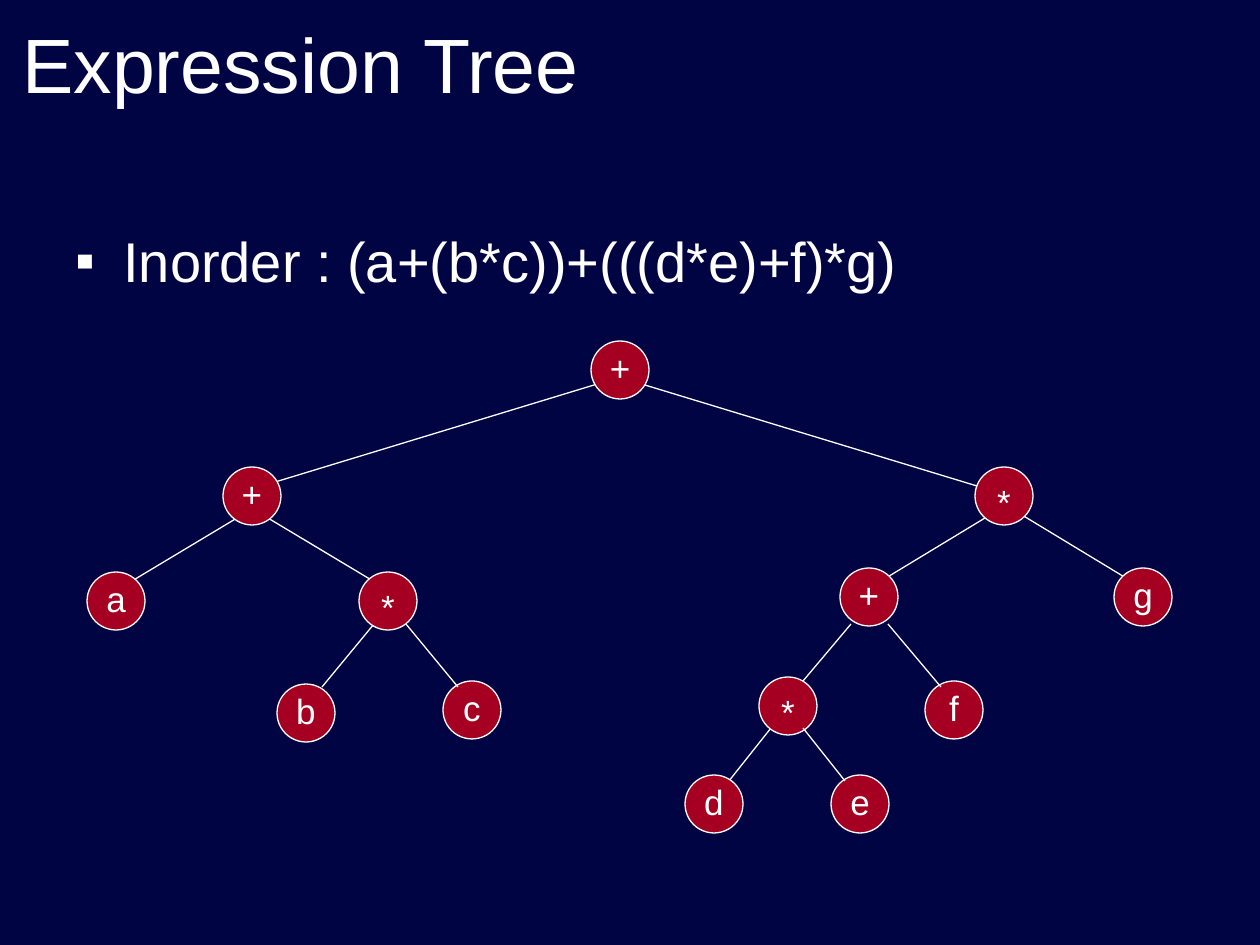
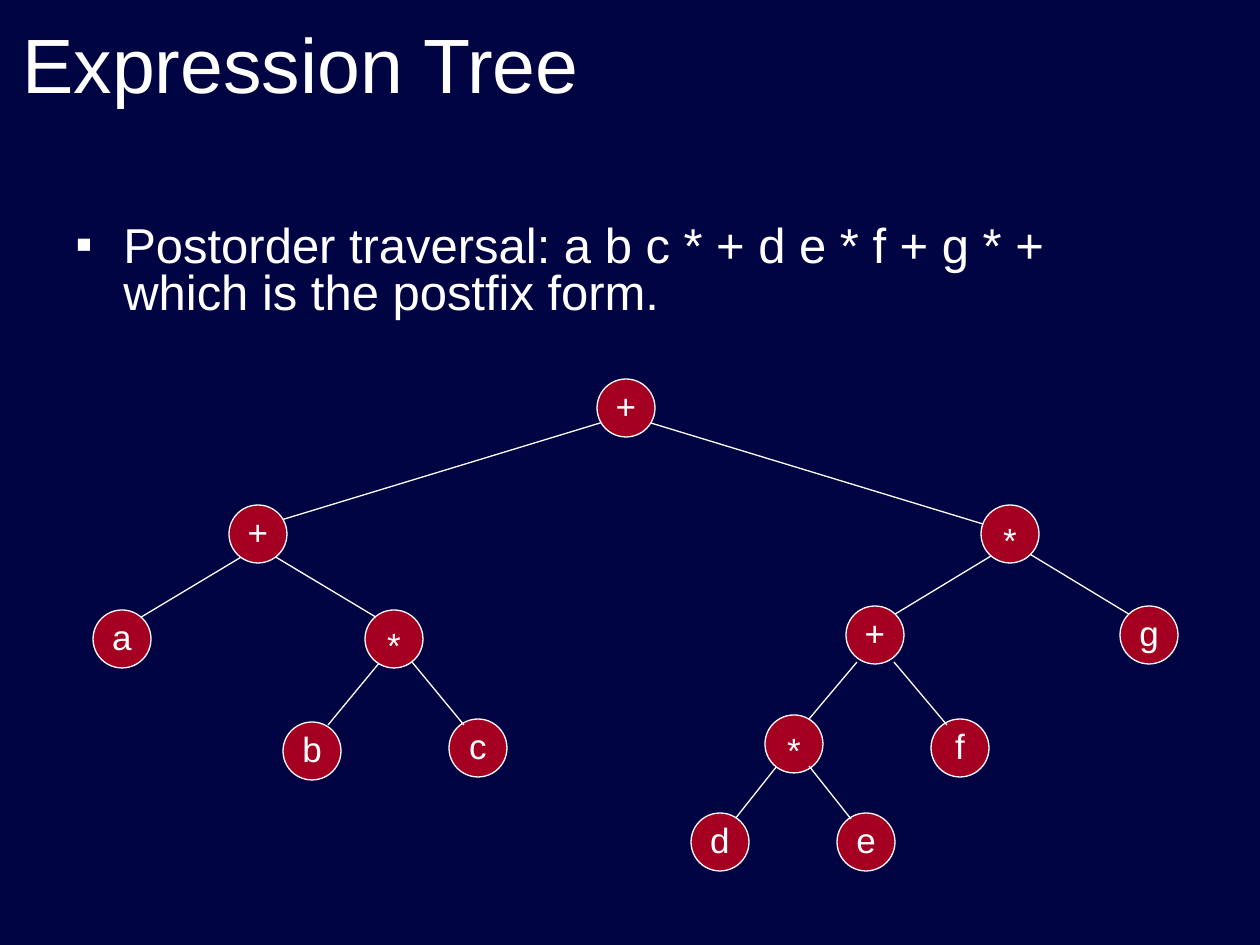
from lxml import etree
from pptx import Presentation
from pptx import util as u
from pptx.dml.color import RGBColor
from pptx.enum import shapes, text
from pptx.oxml.ns import qn

COLORS = {"background": "010442", "ink": "FFFFFF", "node": "A50021"}
FONT = "Arial"
EMU_PER_PX = 914400 / 126
NODE_SIZE = 58

NODES = [
    ("+", 620, 370), ("+", 252, 496), ("*", 1004, 496),
    ("a", 116, 601), ("*", 388, 601), ("+", 869, 597), ("g", 1143, 597),
    ("b", 306, 713), ("c", 472, 710), ("*", 788, 706), ("f", 954, 710),
    ("d", 714, 804), ("e", 860, 804),
]
UPPER_FORKS = [
    (604, 635, 382, 342, 104),
    (237, 268, 518, 105, 63),
    (990, 1022, 515, 104, 63),
]
LOWER_FORKS = [
    (374, 406, 624, 52, 63),
    (851, 888, 624, 53, 63),
    (771, 803, 728, 42, 53),
]


def px(length):
    return u.Emu(round(length * EMU_PER_PX))


def color(name):
    return RGBColor.from_string(COLORS[name])


class TreeDeck:
    """Draws expression-tree slides in one shared style."""

    def __init__(self):
        self.presentation = Presentation()
        self.presentation.slide_width = px(1260)
        self.presentation.slide_height = px(945)
        self.slide = None

    def add_slide(self, title):
        self.slide = self.presentation.slides.add_slide(self.presentation.slide_layouts[6])
        fill = self.slide.background.fill
        fill.solid()
        fill.fore_color.rgb = color("background")
        self.text_box((10, 0, 1134, 126), [title], 44, anchor=text.MSO_ANCHOR.MIDDLE)

    def text_box(self, box, lines, size, align=text.PP_ALIGN.LEFT, anchor=text.MSO_ANCHOR.TOP):
        frame = self.slide.shapes.add_textbox(*map(px, box)).text_frame
        frame.word_wrap = True
        frame.vertical_anchor = anchor
        paragraph = frame.paragraphs[0]
        paragraph.alignment = align
        for index, line in enumerate(lines):
            if index:
                paragraph.add_line_break()
            run = paragraph.add_run()
            run.text = line
            run.font.name = FONT
            run.font.size = u.Pt(size)
            run.font.color.rgb = color("ink")
        return paragraph

    def bullet(self, lines, size, line_spacing):
        paragraph = self.text_box((63, 220, 1134, 116), lines, size)
        properties = paragraph._p.get_or_add_pPr()
        properties.set("marL", str(px(48)))
        properties.set("indent", str(px(-48)))
        bullet_color = etree.SubElement(properties, qn("a:buClr"))
        etree.SubElement(bullet_color, qn("a:srgbClr"), val=COLORS["ink"])
        etree.SubElement(properties, qn("a:buFont"), typeface=FONT)
        etree.SubElement(properties, qn("a:buChar"), char="▪")
        paragraph.line_spacing = line_spacing

    def edge(self, x, y, run, drop):
        ends = map(px, (x, y, x + run, y + drop))
        line = self.slide.shapes.add_connector(shapes.MSO_CONNECTOR.STRAIGHT, *ends)
        line.line.color.rgb = color("ink")
        line.line.width = u.Pt(0.75)
        etree.SubElement(line._element.spPr, qn("a:effectLst"))

    def node(self, symbol, x, y):
        radius = NODE_SIZE // 2
        box = map(px, (x - radius, y - radius, NODE_SIZE, NODE_SIZE))
        circle = self.slide.shapes.add_shape(shapes.MSO_SHAPE.OVAL, *box)
        circle.shadow.inherit = False
        circle.fill.solid()
        circle.fill.fore_color.rgb = color("node")
        circle.line.color.rgb = color("ink")
        circle.line.width = u.Pt(0.75)
        top = y - (22 if symbol == "*" else 30)
        self.text_box((x - 37, top, 74, 55), [symbol], 20, text.PP_ALIGN.CENTER)

    def tree(self, dx, dy):
        for left, right, y, run, drop in UPPER_FORKS:
            self.edge(left + dx, y + dy, -run, drop)
            self.edge(right + dx, y + dy, run, drop)
        for left, right, y, run, drop in LOWER_FORKS:
            self.edge(left + dx, y + dy, -run, drop)
        for symbol, x, y in NODES:
            self.node(symbol, x + dx, y + dy)
        for left, right, y, run, drop in LOWER_FORKS:
            self.edge(right + dx, y + dy, run, drop)


def main():
    deck = TreeDeck()
    postorder = ["Postorder traversal: a b c * + d e * f + g * +", "which is the postfix form."]
    for lines, size, line_spacing, offset in (
        (["Inorder : (a+(b*c))+(((d*e)+f)*g)"], 32, 1.0, (0, 0)),
        (postorder, 28, 0.8, (6, 38)),
    ):
        deck.add_slide("Expression Tree")
        deck.bullet(lines, size, line_spacing)
        deck.tree(*offset)
    deck.presentation.save("out.pptx")


if __name__ == "__main__":
    main()
